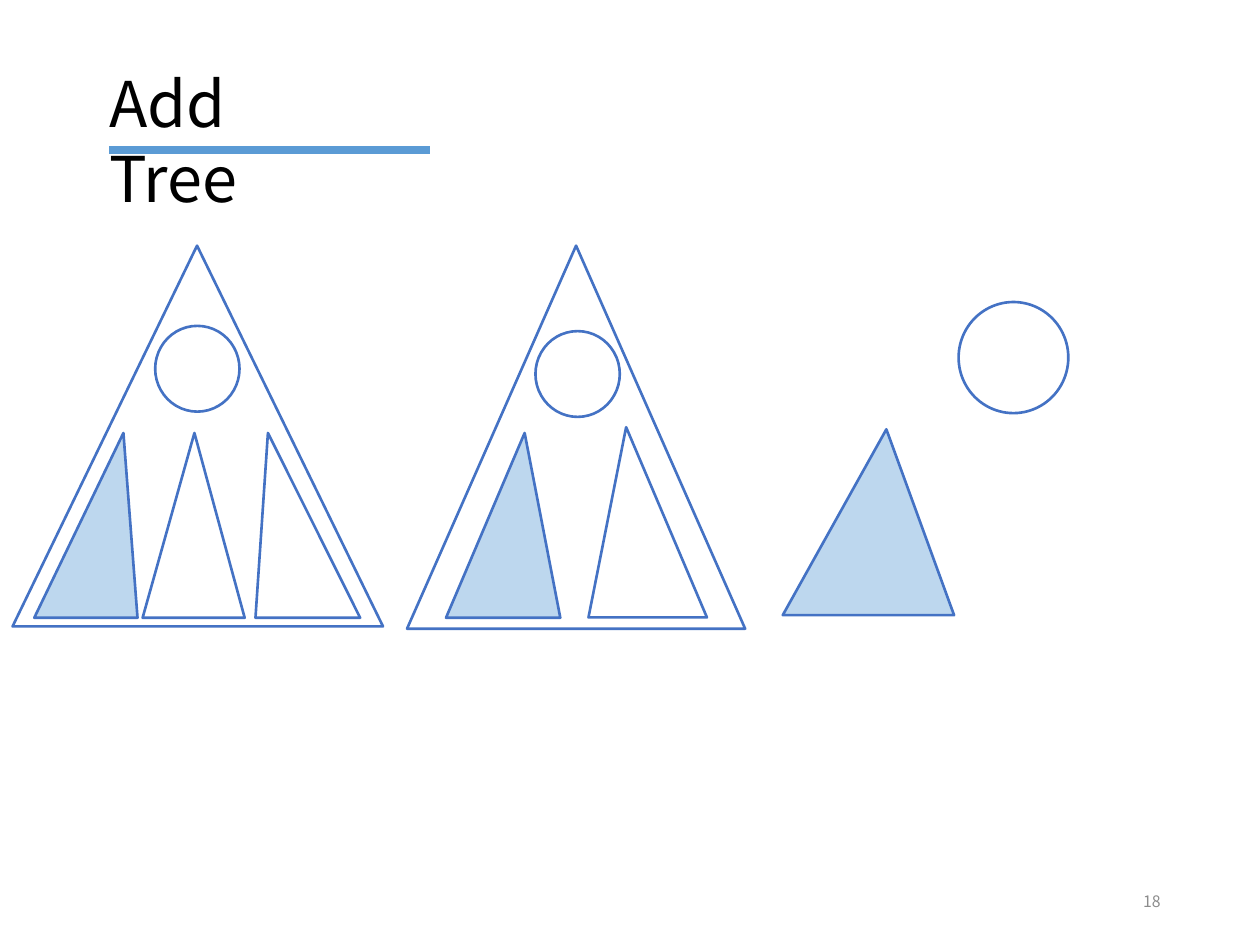
from lxml import etree
from pptx import Presentation
from pptx.dml.color import RGBColor
from pptx.enum import shapes, text
from pptx.oxml import ns
from pptx.util import Pt

COLORS = {
    "background": "FFFFFF",
    "title": "000000",
    "number": "8C8C8C",
    "rule": "5B9BD5",
    "outline": "4472C4",
    "subtree": "BDD7EE",
}
FONT = "Noto Sans CJK SC"


def color(name):
    return RGBColor.from_string(COLORS[name])


def write(sp, words, size, ink, align, anchor):
    tf = sp.text_frame
    tf.word_wrap = True
    tf.auto_size = text.MSO_AUTO_SIZE.NONE
    tf.vertical_anchor = anchor
    p = tf.paragraphs[0]
    p.alignment = align
    p.line_spacing = 1.0
    p.space_before = Pt(0)
    r = p.add_run()
    r.text = words
    r.font.size = Pt(size)
    r.font.name = FONT
    r.font.color.rgb = color(ink)
    ea = etree.SubElement(r.font._element, ns.qn("a:ea"))
    ea.set("typeface", FONT)


def place(sp, left, top, width, height):
    sp.left, sp.top, sp.width, sp.height = map(Pt, (left, top, width, height))


def add_outlined(s, kind, left, top, width, height, fill=None):
    sp = s.shapes.add_shape(kind, *map(Pt, (left, top, width, height)))
    sp.shadow.inherit = False
    sp.line.color.rgb = color("outline")
    sp.line.width = Pt(1.5)
    if fill:
        sp.fill.solid()
        sp.fill.fore_color.rgb = color(fill)
    else:
        sp.fill.background()
    return sp


def add_triangle(s, left, top, width, height, apex=0.5, fill=None):
    sp = add_outlined(s, shapes.MSO_SHAPE.ISOSCELES_TRIANGLE,
                      left, top, width, height, fill)
    sp.adjustments[0] = apex


def add_header(s, left, top, width, height):
    title = s.shapes.title
    place(title, left, top, width, height)
    write(title, "Add Tree", 36, "title", text.PP_ALIGN.LEFT,
          text.MSO_ANCHOR.TOP)
    y = Pt(top + 52.7)
    rule = s.shapes.add_connector(shapes.MSO_CONNECTOR.STRAIGHT,
                                  Pt(left + 7.2), y, Pt(left + 190.8), y)
    rule.line.color.rgb = color("rule")
    rule.line.width = Pt(4.5)
    etree.SubElement(rule._element.spPr, ns.qn("a:effectLst"))


def add_tree(s, left, top, root, subtrees, outline=None):
    if outline:
        width, height, apex = outline
        add_triangle(s, left, top, width, height, apex)
    x, y, width, height = root
    add_outlined(s, shapes.MSO_SHAPE.OVAL, left + x, top + y, width, height)
    for i, (x, y, width, height, apex) in enumerate(subtrees):
        add_triangle(s, left + x, top + y, width, height, apex,
                     fill="subtree" if i == 0 else None)


def add_number(s, left, top, width, height):
    sp = s.shapes.add_textbox(*map(Pt, (left, top, width, height)))
    write(sp, "18", 9, "number", text.PP_ALIGN.RIGHT, text.MSO_ANCHOR.MIDDLE)


def main():
    prs = Presentation()
    prs.slide_width, prs.slide_height = Pt(720), Pt(540)
    s = prs.slides.add_slide(prs.slide_layouts[5])
    s.background.fill.solid()
    s.background.fill.fore_color.rgb = color("background")

    add_header(s, 55.2, 33, 156, 51.1)
    add_tree(s, 7.2, 140.4, (81.5, 45.8, 48.2, 49),
             [(12.4, 107, 59, 105.6, 0.864),
              (74.3, 107, 58.3, 105.6, 0.508),
              (138.8, 107, 59.8, 105.6, 0.119)],
             outline=(211.7, 217.6, 0.498))
    add_tree(s, 232.6, 140.4, (73.4, 48.8, 48.2, 49),
             [(22.3, 107, 65.3, 105.6, 0.688),
              (103.7, 103.7, 67.7, 108.7, 0.318)],
             outline=(193.2, 218.9, 0.5))
    add_tree(s, 447.3, 172.6, (100.5, 0, 62.7, 63.5),
             [(0, 72.7, 97.9, 106.2, 0.605)])
    add_number(s, 508.3, 500.4, 162, 28.8)
    prs.save("out.pptx")


if __name__ == "__main__":
    main()
